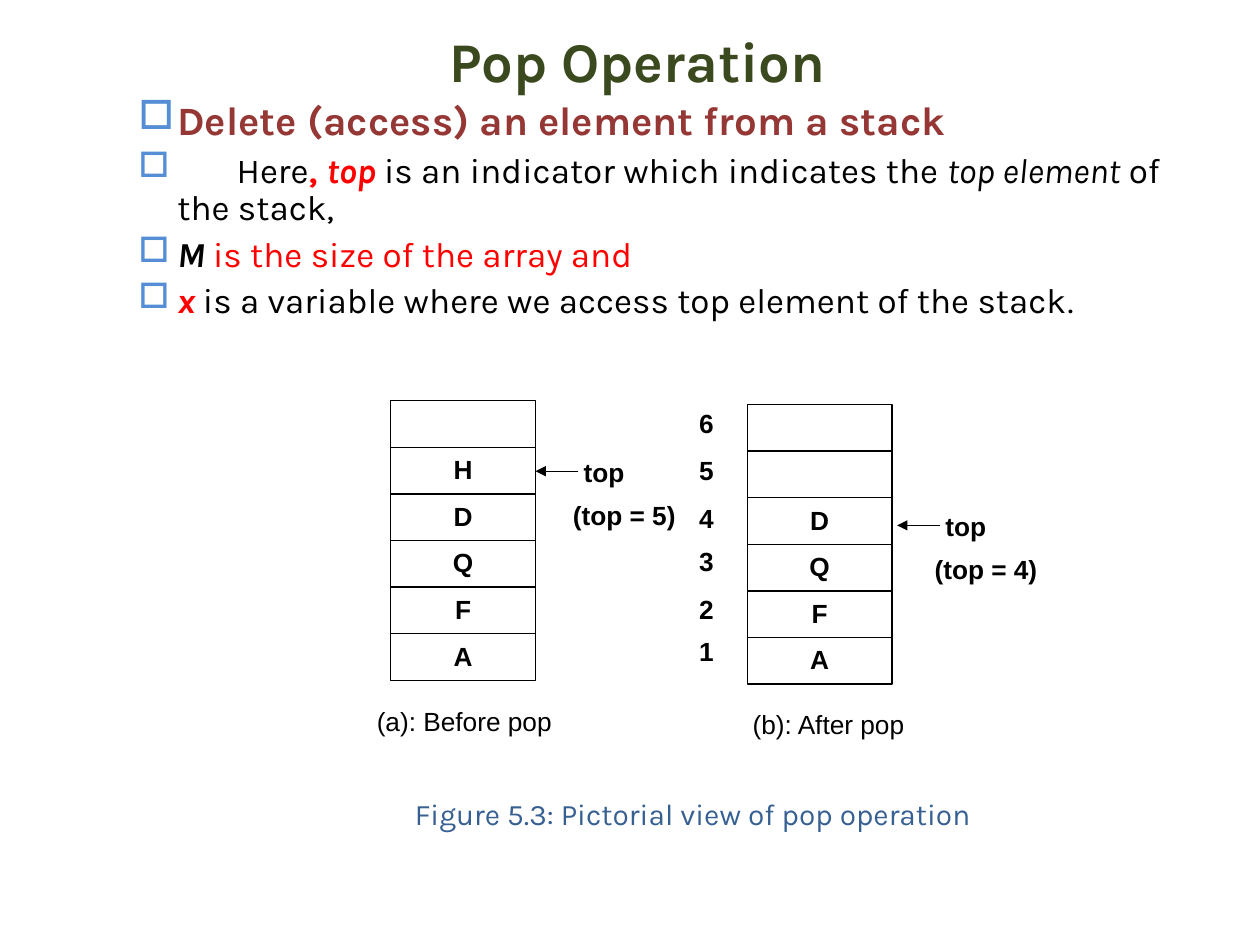
from pptx import Presentation
from pptx.dml.color import RGBColor
from pptx.enum.shapes import MSO_CONNECTOR, MSO_SHAPE
from pptx.enum.text import MSO_ANCHOR, PP_ALIGN
from pptx.oxml import parse_xml
from pptx.oxml.ns import nsdecls
from pptx.util import Inches, Pt

BLACK = RGBColor(0x00, 0x00, 0x00)
WHITE = RGBColor(0xFF, 0xFF, 0xFF)
RED = RGBColor(0xFF, 0x00, 0x00)
MAROON = RGBColor(0x95, 0x37, 0x35)
GREEN = RGBColor(0x3B, 0x4A, 0x1E)
BLUE = RGBColor(0x37, 0x60, 0x92)

# Content: each run is (text, format)
TITLE = "Pop Operation"
POINTS = [
    [("Delete (access) an element from a stack",
      dict(size=23, color=MAROON, bold=True))],
    [("\tHere", {}), (", ", dict(color=RED, bold=True)),
     ("top ", dict(color=RED, bold=True, italic=True)),
     ("is an indicator which indicates the ", {}),
     ("top element", dict(italic=True)), (" of the stack,", {})],
    [("M ", dict(bold=True, italic=True)),
     ("is the size of the array and", dict(color=RED))],
    [("x ", dict(color=RED, bold=True, italic=True)),
     ("is a variable where we access top element of the stack", {}),
     (".", dict(size=19))],
]
FIGURE = "Figure 5.3: Pictorial view of pop operation"
# Cells run from top to bottom; mark is the place of the "top" label
STACKS = [
    dict(left=3.1, top=3.18, cells=["", "H", "D", "Q", "F", "A"],
         mark=(4.46, 3.57), note="(top = 5)",
         name="(a): Before pop", box=(2.53, 5.55, 2.31, 0.37)),
    dict(left=5.93, top=3.21, cells=["", "", "D", "Q", "F", "A"],
         mark=(7.33, 4.0), note="(top = 4)",
         name="(b): After pop", box=(5.47, 5.57, 2.21, 0.37)),
]
INDEX = [("6", 3.18), ("5", 3.56), ("4", 3.94),
         ("3", 4.28), ("2", 4.66), ("1", 4.99)]
CELL_W, CELL_H = 1.15, 0.37

prs = Presentation()
prs.slide_width, prs.slide_height = Inches(10), Inches(7.5)
slide = prs.slides.add_slide(prs.slide_layouts[6])
shapes = slide.shapes


def add_run(para, text, size=20, color=BLACK, bold=False, italic=False,
            face="Karla"):
    run = para.add_run()
    run.text = text
    font = run.font
    font.name, font.size = face, Pt(size)
    font.bold, font.italic = bold, italic
    font.color.rgb = color


def add_text(text, box, align=PP_ALIGN.CENTER, anchor=MSO_ANCHOR.TOP,
             framed=False, **style):
    """Put one line of text in a plain or a framed box."""
    spot = [Inches(v) for v in box]
    if framed:
        shape = shapes.add_shape(MSO_SHAPE.RECTANGLE, *spot)
        shape.shadow.inherit = False
        shape.fill.solid()
        shape.fill.fore_color.rgb = WHITE
        shape.line.color.rgb = BLACK
        shape.line.width = Pt(0.75)
    else:
        shape = shapes.add_textbox(*spot)
    frame = shape.text_frame
    frame.word_wrap = True
    frame.vertical_anchor = anchor
    para = frame.paragraphs[0]
    para.alignment = align
    if text:
        add_run(para, text, **style)


def add_arrow(start, end, y):
    line = shapes.add_connector(MSO_CONNECTOR.STRAIGHT, Inches(start),
                                Inches(y), Inches(end), Inches(y))
    line.line.color.rgb = BLACK
    line.line.width = Pt(0.75)
    line.line._get_or_add_ln().append(
        parse_xml(f'<a:tailEnd {nsdecls("a")} type="triangle"/>'))
    line._element.spPr.append(parse_xml(f'<a:effectLst {nsdecls("a")}/>'))


def add_bullet(para):
    props = para._p.get_or_add_pPr()
    props.set("marL", str(Inches(0.81)))
    props.set("indent", str(Inches(-0.31)))
    for xml in (
        '<a:buClr {}><a:srgbClr val="558ED5"/></a:buClr>',
        '<a:buChar {} char="□"/>',
        f'<a:tabLst {{}}><a:tab pos="{Inches(1.28)}" algn="l"/></a:tabLst>',
    ):
        props.append(parse_xml(xml.format(nsdecls("a"))))


# Title
add_text(TITLE, (0.56, 0.2, 9, 0.55), anchor=MSO_ANCHOR.MIDDLE,
         size=32, color=GREEN, bold=True)

# Bullet points
body = shapes.add_textbox(Inches(0.5), Inches(0.75), Inches(9), Inches(1.9))
frame = body.text_frame
frame.word_wrap = True
for i, runs in enumerate(POINTS):
    para = frame.paragraphs[0] if i == 0 else frame.add_paragraph()
    para.line_spacing = 0.9
    if i:
        para.space_before = Pt(5)
    add_bullet(para)
    for text, style in runs:
        add_run(para, text, **style)

# Index numbers
label = dict(size=15, face="Arial")
for num, top in INDEX:
    add_text(num, (5.45, top, 0.5, 0.37), align=PP_ALIGN.LEFT,
             bold=True, **label)

# Stacks with their pointers and captions
for stack in STACKS:
    for row, text in enumerate(stack["cells"]):
        add_text(text, (stack["left"], stack["top"] + row * CELL_H,
                        CELL_W, CELL_H), framed=True, bold=True, **label)
    x, y = stack["mark"]
    add_text("top", (x, y, 0.67, 0.37), bold=True, **label)
    add_arrow(x + 0.13, x - 0.21, y + 0.17)
    add_text(stack["note"], (x - 0.09, y + 0.34, 1.17, 0.37),
             bold=True, **label)
    add_text(stack["name"], stack["box"], **label)

# Figure caption
add_text(FIGURE, (1.5, 6.27, 8, 0.38), size=17, color=BLUE)

prs.save("out.pptx")
